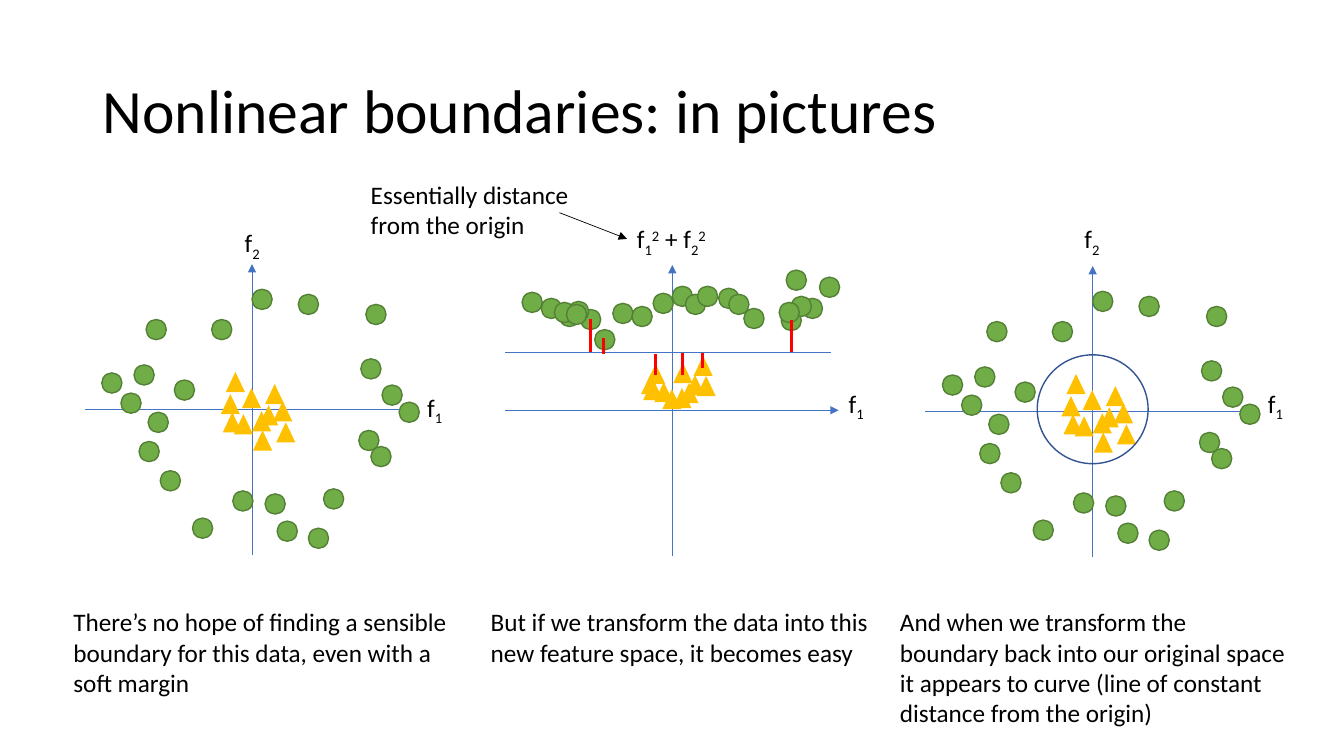
from lxml import etree
from pptx import Presentation
from pptx.dml.color import RGBColor
from pptx.enum.shapes import MSO_CONNECTOR, MSO_SHAPE
from pptx.enum.text import MSO_ANCHOR, MSO_AUTO_SIZE
from pptx.oxml.ns import qn
from pptx.util import Inches, Pt

STRAIGHT = MSO_CONNECTOR.STRAIGHT
CIRCLE, TRIANGLE = MSO_SHAPE.OVAL, MSO_SHAPE.ISOSCELES_TRIANGLE
MIDDLE, TOP = MSO_ANCHOR.MIDDLE, MSO_ANCHOR.TOP
GROW = MSO_AUTO_SIZE.SHAPE_TO_FIT_TEXT

BLACK = RGBColor(0x00, 0x00, 0x00)
BLUE = RGBColor(0x44, 0x72, 0xC4)
DARK_BLUE = RGBColor(0x32, 0x54, 0x91)
GREEN = RGBColor(0x70, 0xAD, 0x47)
DARK_GREEN = RGBColor(0x53, 0x80, 0x35)
GOLD = RGBColor(0xFF, 0xC0, 0x00)
RED = RGBColor(0xFF, 0x00, 0x00)
FONT = "Calibri"
SUB, SUPER = -25000, 30000

# The slide is a grid of square cells, ten to the inch
COLUMNS, ROWS = 133.33, 75

# Plot origins (column, row)
DATA_ORIGIN = (25, 40.6)
FEATURE_ORIGIN = (66.7, 40.7)
CURVED_ORIGIN = (108.4, 40.8)

# Point centres from the origin: f1, f2 and the height in the new space
OUTER_POINTS = [
    (1, -10.9, -11.3), (5.6, -10.4, -11.1), (12.3, -9.4, -12.9), (11.8, -4, -8.9),
    (13.9, -1.4, -10.1), (15.6, 0.3, -12.2), (12.8, 4.7, -10.3), (11.6, 3.1, -9.7),
    (8.1, 8.9, -9.1), (6.6, 12.8, -10.5), (2.3, 9.4, -10.5), (3.5, 12.1, -11.3),
    (-0.9, 9.1, -10.6), (-4.9, 11.8, -9.6), (-8.1, 7.1, -9), (-10.2, 4.2, -9.3),
    (-9.3, 1.3, -9.8), (-12, -0.6, -10.1), (-13.9, -2.6, -10.7), (-10.7, -3.4, -9.7),
    (-9.5, -7.9, -9.5), (-6.7, -1.9, -7), (-3, -7.9, -9.3),
]
INNER_POINTS = [
    (-1.95, 1.3, -2), (1.05, 3.1, -3.7), (-0.85, 1.5, -1.8), (0.95, 1.2, -1.2),
    (-1.65, -2.7, -3.6), (-0.05, -1.1, -1.1), (1.65, 0.6, -1.7), (3.35, 2.3, -2.4),
    (2.25, -1.5, -2.5), (3.05, 0.2, -4.4), (-2.15, -0.5, -2.6),
]

# Red margins from the origin: column, first row, last row
BOUNDARY = -5.7
MARGINS = [(-6.8, -5.6, -7.2), (-8.1, -5.8, -9.1), (11.8, -5.8, -9),
           (3, -4.2, BOUNDARY), (1, -3.5, BOUNDARY), (-1.7, -3.5, -5.6)]

# Label runs: text and baseline shift
F1 = [("f", 0), ("1", SUB)]
F2 = [("f", 0), ("2", SUB)]
DISTANCE = [("f", 0), ("1", SUB), ("2", SUPER), (" + f", 0), ("2", SUB), ("2", SUPER)]


def cells(count):
    return Inches(count / 10)


def add_text(page, spans, column, row, width, height, size=18, wrap=True, anchor=TOP):
    box = page.shapes.add_textbox(*map(cells, (column, row, width, height)))
    frame = box.text_frame
    frame.word_wrap = wrap
    frame.vertical_anchor = anchor
    if anchor == TOP:
        frame.auto_size = GROW
    para = frame.paragraphs[0]
    for text, baseline in spans:
        span = para.add_run()
        span.text = text
        span.font.name, span.font.size = FONT, Pt(size)
        span.font.color.rgb = BLACK
        if baseline:
            span.font._element.set("baseline", str(baseline))
    return box


def add_line(page, start, end, color, weight, arrow=False):
    line = page.shapes.add_connector(STRAIGHT, *map(cells, (*start, *end)))
    line.line.color.rgb, line.line.width = color, Pt(weight)
    if arrow:
        etree.SubElement(line.line._get_or_add_ln(), qn("a:tailEnd"), type="triangle")
    etree.SubElement(line._element.spPr, qn("a:effectLst"))
    return line


def add_marker(page, kind, center, width, height, fill=None, outline=None):
    left, top = center[0] - width / 2, center[1] - height / 2
    marker = page.shapes.add_shape(kind, *map(cells, (left, top, width, height)))
    marker.shadow.inherit = False
    if fill is None:
        marker.fill.background()
    else:
        marker.fill.solid()
        marker.fill.fore_color.rgb = fill
    if outline is None:
        marker.line.fill.background()
    else:
        marker.line.color.rgb, marker.line.width = outline, Pt(1)


def add_plot(page, origin, height_index):
    """Draw the axes and points; height_index picks f2 (1) or the new feature (2)."""
    x, y = origin
    add_line(page, (x, y + 14.5), (x, y - 14.4), BLUE, 0.5, arrow=True)
    add_line(page, (x - 16.6, y), (x + 16.5, y), BLUE, 0.5, arrow=True)
    for point in OUTER_POINTS:
        add_marker(page, CIRCLE, (x + point[0], y + point[height_index]), 2, 2, GREEN, DARK_GREEN)
    for point in INNER_POINTS:
        add_marker(page, TRIANGLE, (x + point[0], y + point[height_index]), 1.9, 2, GOLD)


def add_margins(page, origin):
    x, y = origin
    add_line(page, (x - 16.6, y + BOUNDARY), (x + 15.7, y + BOUNDARY), BLUE, 0.5)
    for column, first, last in MARGINS:
        add_line(page, (x + column, y + first), (x + column, y + last), RED, 2.25)


def main():
    deck = Presentation()
    deck.slide_width, deck.slide_height = cells(COLUMNS), cells(ROWS)
    page = deck.slides.add_slide(deck.slide_layouts[6])

    # Title
    title = add_text(page, [("Nonlinear boundaries: in pictures", 0)],
                     9.2, 4, 115, 14.5, size=44, anchor=MIDDLE)
    title.text_frame.paragraphs[0].line_spacing = 0.9

    # Three plots
    add_plot(page, FEATURE_ORIGIN, 2)
    add_plot(page, DATA_ORIGIN, 1)
    add_plot(page, CURVED_ORIGIN, 1)

    # Boundaries: straight in the new space, curved in the first one
    add_margins(page, FEATURE_ORIGIN)
    x, y = CURVED_ORIGIN
    add_marker(page, CIRCLE, (x, y - 0.2), 11, 10.8, outline=DARK_BLUE)

    # Axis labels
    for spans, column, row in [(F1, 41.4, 38.4), (F2, 23.3, 22.1), (F1, 83.2, 38),
                               (F1, 124.8, 38), (F2, 106.6, 21.7)]:
        add_text(page, spans, column, row, 3.6, 4, wrap=False)
    distance = add_text(page, DISTANCE, 62.2, 21.7, 9.4, 4, wrap=False)

    # Captions
    for text, column, height in [
        ("There’s no hope of finding a sensible boundary for this data, "
         "even with a soft margin", 6.3, 10.1),
        ("But if we transform the data into this new feature space, "
         "it becomes easy", 47.7, 7.1),
        ("And when we transform the boundary back into our original space "
         "it appears to curve (line of constant distance from the origin)", 88.3, 13.1),
    ]:
        add_text(page, [(text, 0)], column, 59.7, 40.6, height)

    # Note pointing at the new feature
    add_text(page, [("Essentially distance from the origin", 0)], 35.8, 17.3, 21.7, 7.1)
    pointer = add_line(page, (55.5, 21.1), (62.2, 23.7), BLACK, 0.5, arrow=True)
    pointer.end_connect(distance, 1)

    deck.save("out.pptx")


if __name__ == "__main__":
    main()
